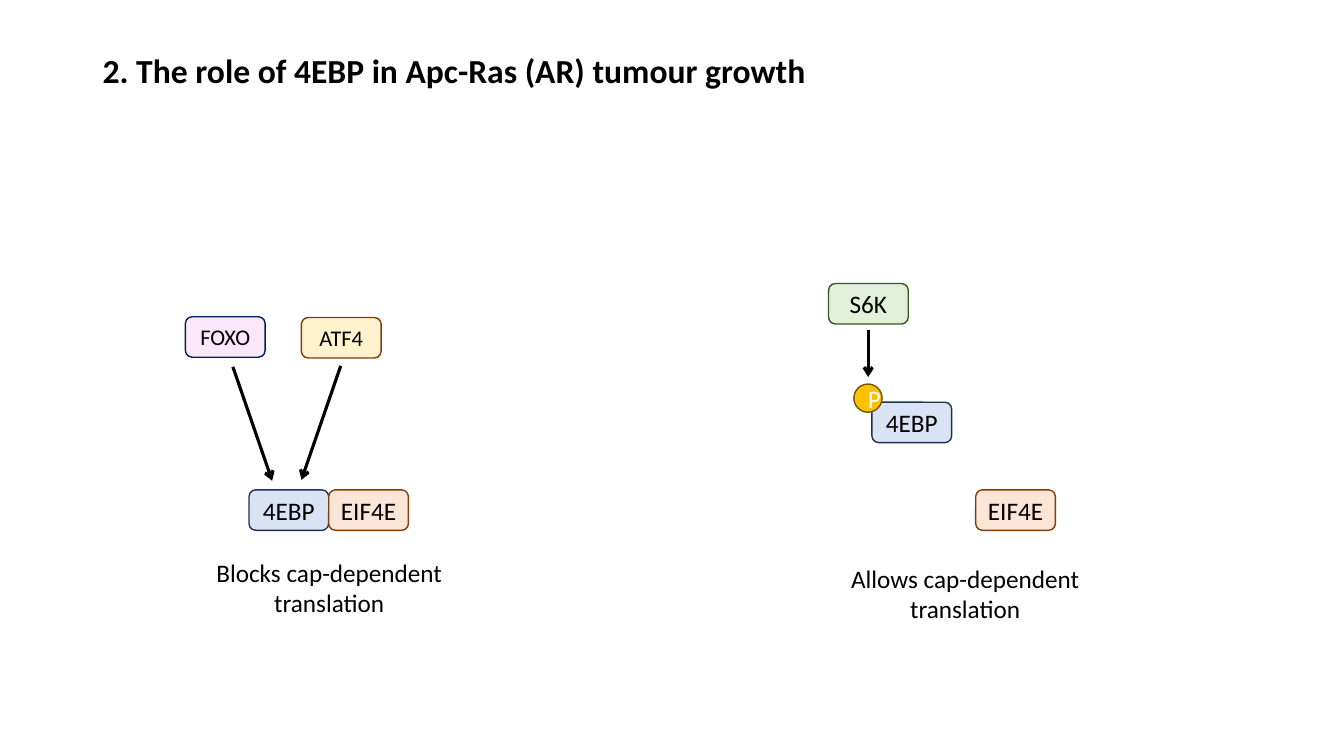
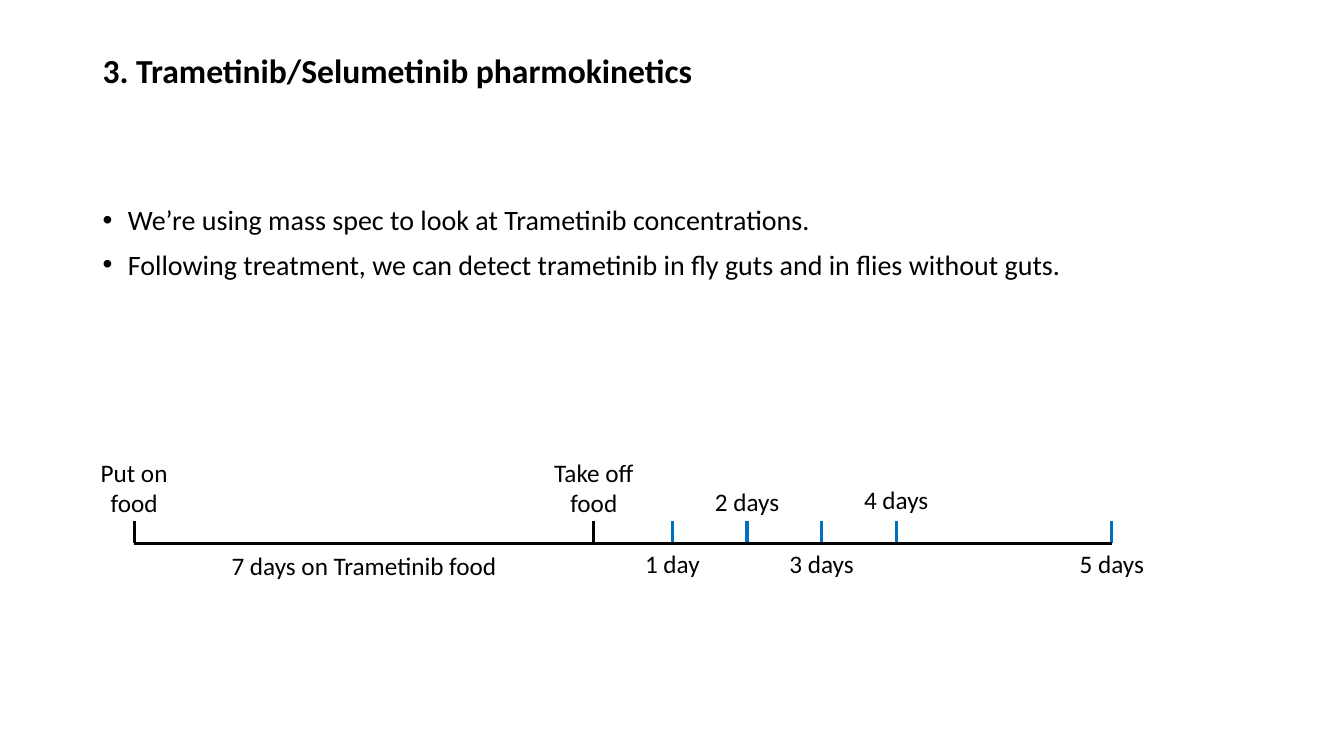
from dataclasses import dataclass

from lxml.etree import SubElement
from pptx import Presentation
from pptx.dml.color import RGBColor
from pptx.enum.shapes import MSO_CONNECTOR, MSO_SHAPE
from pptx.enum.text import MSO_ANCHOR, PP_ALIGN
from pptx.oxml.ns import qn
from pptx.util import Inches, Pt


@dataclass(frozen=True)
class Theme:
    font: str = "Calibri"
    title: int = 24
    body: int = 20
    label: int = 18
    small: int = 16
    outline: float = 1
    stroke: float = 2.25
    black: str = "000000"
    white: str = "FFFFFF"
    blue: str = "0070C0"
    # fill and outline of each kind of node
    ebp: tuple = ("DAE3F3", "1E3256")
    eif: tuple = ("FBE5D6", "843C0B")
    s6k: tuple = ("E2F0D9", "385723")
    foxo: tuple = ("FDE7FA", "002060")
    atf: tuple = ("FFF2CC", "843C0B")
    phosphate: tuple = ("FFC000", "705400")


T = Theme()
prs = Presentation()
prs.slide_width, prs.slide_height = Inches(13.33), Inches(7.5)
# The grid has 100 columns and 100 rows
COL, ROW = prs.slide_width / 100, prs.slide_height / 100


def put(s, text, at, shape=None, look=None, size=T.label, color=T.black,
        bold=False, align=PP_ALIGN.CENTER, anchor=MSO_ANCHOR.TOP, spacing=None):
    """Place text at (column, row, columns, rows), in a filled shape if one is given."""
    box = [round(n * unit) for n, unit in zip(at, (COL, ROW, COL, ROW))]
    if shape is None:
        sp = s.shapes.add_textbox(*box)
    else:
        sp = s.shapes.add_shape(shape, *box)
        sp.shadow.inherit = False
        sp.fill.solid()
        sp.fill.fore_color.rgb = RGBColor.from_string(look[0])
        sp.line.color.rgb = RGBColor.from_string(look[1])
        sp.line.width = Pt(T.outline)
    tf = sp.text_frame
    tf.word_wrap = True
    tf.vertical_anchor = anchor
    tf.text = text
    for p in tf.paragraphs:
        p.alignment = align
        p.line_spacing = spacing
        for r in p.runs:
            for name, value in {"name": T.font, "size": Pt(size), "bold": bold}.items():
                setattr(r.font, name, value)
            r.font.color.rgb = RGBColor.from_string(color)
    return sp


def draw_line(s, start, end, color=T.black, arrow=False):
    ends = [round(n * unit) for n, unit in zip(start + end, (COL, ROW, COL, ROW))]
    ln = s.shapes.add_connector(MSO_CONNECTOR.STRAIGHT, *ends)
    ln.line.color.rgb = RGBColor.from_string(color)
    ln.line.width = Pt(T.stroke)
    if arrow:
        SubElement(ln.line._get_or_add_ln(), qn("a:tailEnd"), type="arrow")
    SubElement(ln._element.spPr, qn("a:effectLst"))


LEFT, WIDTH = 6.9, 86.25
slides = []
for title in ("2. The role of 4EBP in Apc-Ras (AR) tumour growth",
              "3. Trametinib/Selumetinib pharmokinetics"):
    s = prs.slides.add_slide(prs.slide_layouts[6])
    put(s, title, (LEFT, 0, WIDTH, 19.33), size=T.title, bold=True,
        align=PP_ALIGN.LEFT, anchor=MSO_ANCHOR.MIDDLE, spacing=0.9)
    slides.append(s)
pathway, timeline = slides

# Pathway: bound state on the left, released state on the right
NODE_W, NODE_H = 5.93, 5.35
BOUND_X, BASE_Y = 18.53, 64.8
for text, x, y, look, size in (
    ("4EBP", BOUND_X, BASE_Y, T.ebp, T.label),
    ("EIF4E", BOUND_X + NODE_W, BASE_Y, T.eif, T.label),
    ("4EBP", 64.88, 53.2, T.ebp, T.label),
    ("EIF4E", 72.6, BASE_Y, T.eif, T.label),
    ("S6K", 61.65, 37.5, T.s6k, T.label),
    ("FOXO", 13.8, 41.9, T.foxo, T.small),
    ("ATF4", 22.43, 42, T.atf, T.small),
):
    put(pathway, text, (x, y, NODE_W, NODE_H), MSO_SHAPE.ROUNDED_RECTANGLE, look,
        size=size, anchor=MSO_ANCHOR.MIDDLE)
put(pathway, "P", (63.53, 50.8, 2.1, 3.73), MSO_SHAPE.OVAL, T.phosphate,
    color=T.white, anchor=MSO_ANCHOR.MIDDLE)

for start, end in (
    ((64.6, 43.6), (64.6, 49.87)),
    ((25.35, 48.4), (22.43, 63.47)),
    ((17.33, 48.53), (20.25, 63.6)),
):
    draw_line(pathway, start, end, arrow=True)

for text, x, y in (("Blocks cap-dependent translation", 12.38, 73.07),
                   ("Allows cap-dependent translation", 59.7, 73.87)):
    put(pathway, text, (x, y, 24.23, 9.47))

# Timeline: bullets above, dosing axis below
bullets = put(
    timeline,
    "We’re using mass spec to look at Trametinib concentrations.\n"
    "Following treatment, we can detect trametinib in fly guts and in flies without guts.",
    (LEFT, 26.67, WIDTH, 63.47), size=T.body, align=PP_ALIGN.LEFT, spacing=0.9)
for i, p in enumerate(bullets.text_frame.paragraphs):
    p.space_before = Pt(10 if i else 0)
    pPr = p._p.get_or_add_pPr()
    pPr.set("marL", str(Inches(0.25)))
    pPr.set("indent", str(-Inches(0.25)))
    SubElement(pPr, qn("a:buFont"), typeface="Arial")
    SubElement(pPr, qn("a:buChar"), char="•")

AXIS_Y, TICK_TOP = 71.87, 68.93
START, STOP, END = 9.98, 44.18, 82.73
FIRST_DAY, DAY = 50.03, 5.55
for text, x, color, y, w, h in (
    ("Put on food", START, T.black, 59.87, 6.75, 9.47),
    ("Take off food", STOP, T.black, 59.87, 7.8, 9.47),
    ("1 day", FIRST_DAY, T.blue, AXIS_Y, 6.75, NODE_H),
    ("2 days", FIRST_DAY + DAY, T.blue, 63.73, 6.75, NODE_H),
    ("3 days", FIRST_DAY + 2 * DAY, T.blue, AXIS_Y, 6.75, NODE_H),
    ("4 days", FIRST_DAY + 3 * DAY, T.blue, 63.47, 6.75, NODE_H),
    ("5 days", END, T.blue, AXIS_Y, 6.75, NODE_H),
):
    draw_line(timeline, (x, AXIS_Y), (x, TICK_TOP), color)
    put(timeline, text, (x - w / 2, y, w, h))
draw_line(timeline, (START, AXIS_Y), (END, AXIS_Y))
put(timeline, "7 days on Trametinib food", (START, 72.13, STOP - START, NODE_H))

prs.save("out.pptx")
